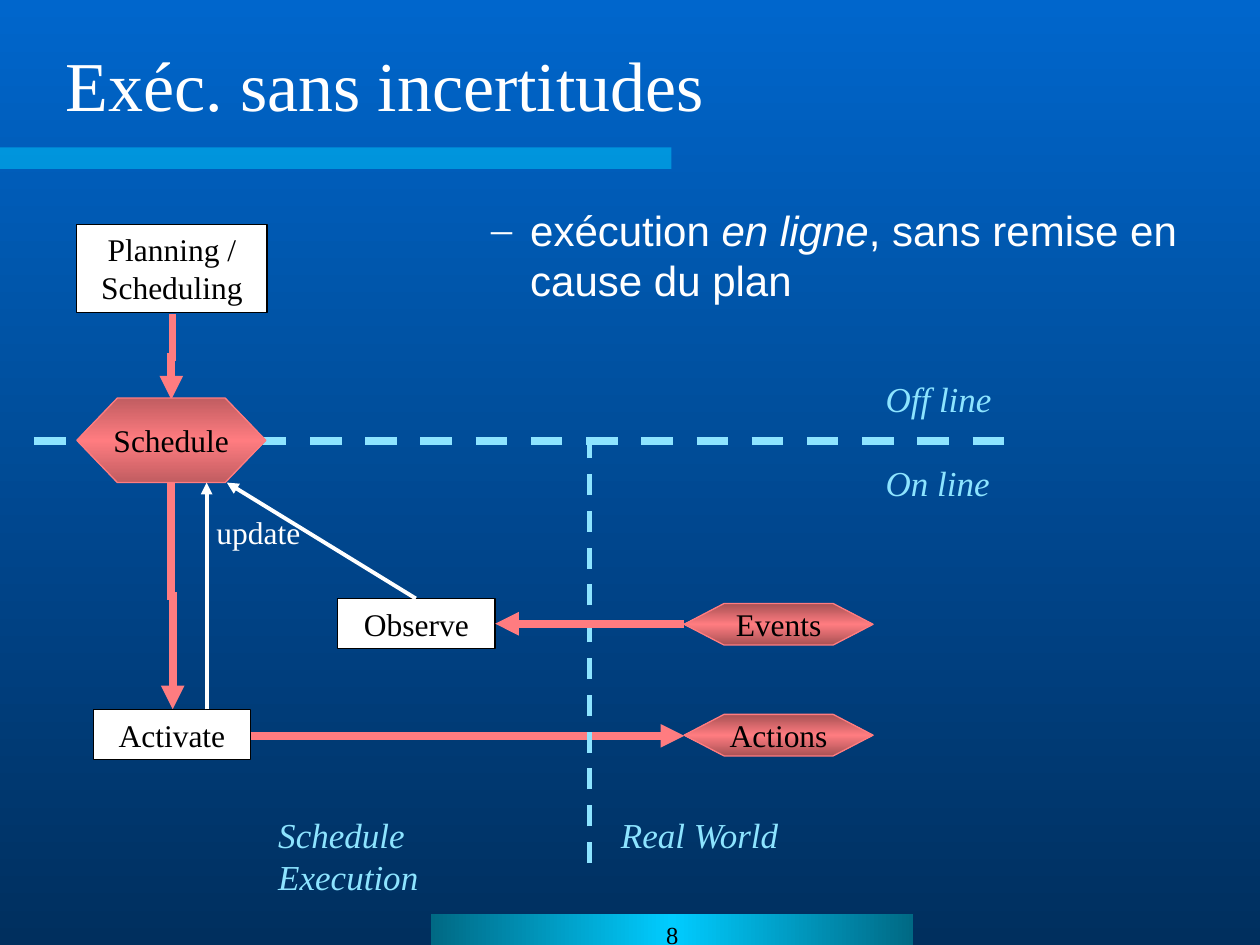
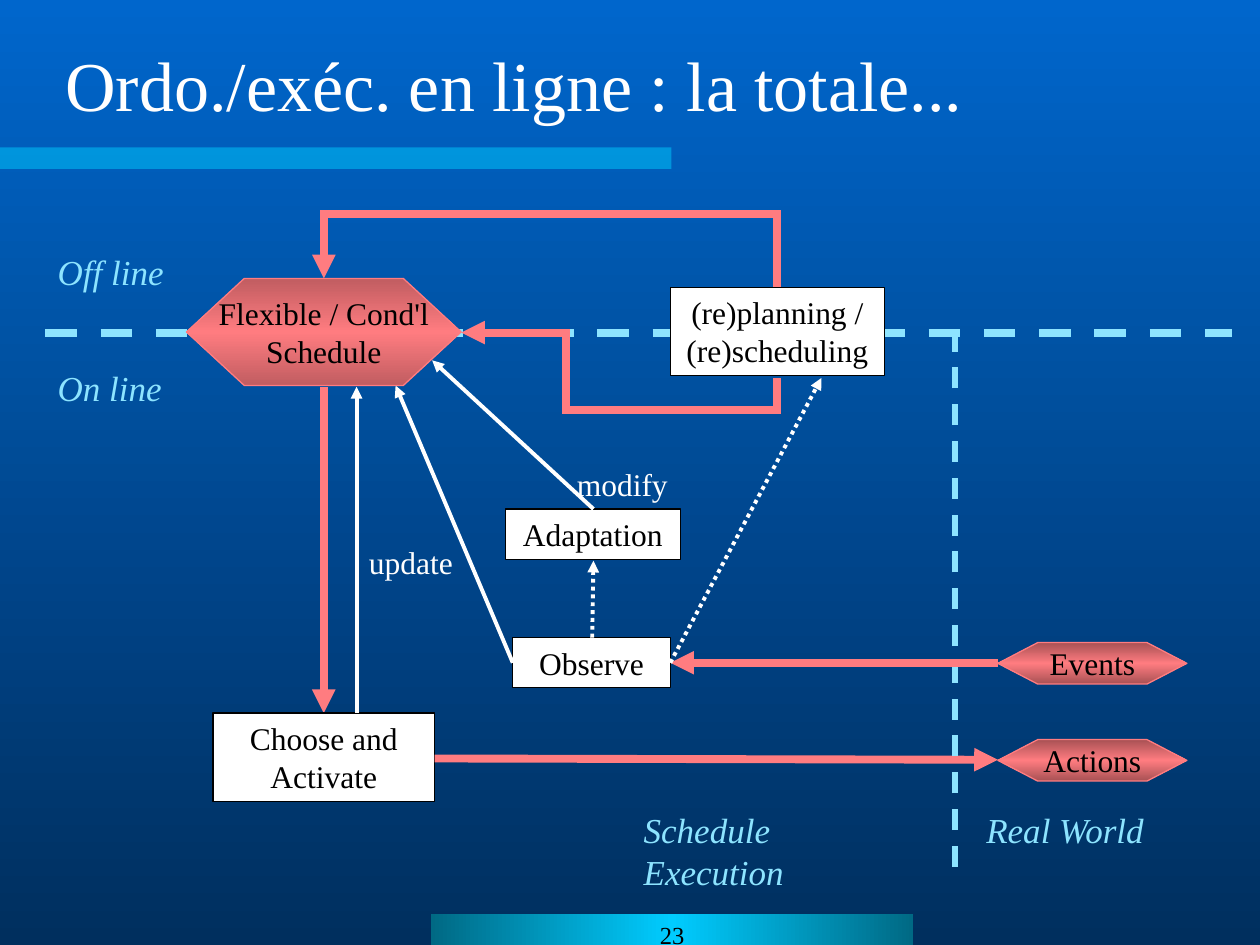
from copy import deepcopy
from dataclasses import dataclass

from lxml import etree
from pptx import Presentation
from pptx.dml.color import RGBColor
from pptx.enum import dml, shapes, text
from pptx.oxml import ns
from pptx.util import Inches, Pt


@dataclass(frozen=True)
class Theme:
    serif: str = "Times New Roman"
    sans: str = "Arial"
    white: str = "FFFFFF"
    black: str = "000000"
    zone: str = "8DE4FF"
    flow: str = "FF7C80"
    band: str = "00CCFF"
    background: tuple = ("0066CC", "002F5E")
    footer: tuple = ("006984", "00CCFF", "006984")
    schedule: tuple = ("C15D61", "FF7C80", "C15D61")
    world: tuple = ("A85154", "FF7C80", "A85154")
    title_size: int = 40
    body_size: int = 24
    zone_size: int = 20
    node_size: int = 18
    number_size: int = 14
    outline: float = 0.75
    thin: float = 2.25
    divider: float = 3
    thick: float = 4.5


THEME = Theme()
DASH = dml.MSO_LINE.DASH
DOTS = dml.MSO_LINE.ROUND_DOT


# Formatting helpers

def rgb(color):
    return RGBColor.from_string(color)


def add_xml(parent, tag, **attributes):
    return etree.SubElement(parent, ns.qn(tag), attributes)


def paint(fill, colors, angle=270):
    """Fill with one colour, or with a gradient of evenly spaced colours."""
    if isinstance(colors, str):
        fill.solid()
        fill.fore_color.rgb = rgb(colors)
        return
    fill.gradient()
    fill.gradient_angle = angle
    first = fill.gradient_stops[0]._gs
    for _ in colors[2:]:
        first.addnext(deepcopy(first))
    for i, (stop, color) in enumerate(zip(fill.gradient_stops, colors)):
        stop.position = i / (len(colors) - 1)
        stop.color.rgb = rgb(color)


def format_text(frame, size, color, font=THEME.serif, italic=None,
                align=text.PP_ALIGN.LEFT):
    for paragraph in frame.paragraphs:
        paragraph.alignment = align
        for run in paragraph.runs:
            run.font.size = Pt(size)
            run.font.name = font
            run.font.color.rgb = rgb(color)
            if italic is not None:
                run.font.italic = italic


def add_block(slide, kind, box, fill, outline=None):
    block = slide.shapes.add_shape(kind, *map(Inches, box))
    block.shadow.inherit = False
    paint(block.fill, fill)
    if outline:
        block.line.color.rgb = rgb(outline)
        block.line.width = Pt(THEME.outline)
    else:
        block.line.fill.background()
    return block


def style_line(line, color, width, dash=None, arrow=True):
    line.line.color.rgb = rgb(color)
    line.line.width = Pt(width)
    if dash:
        line.line.dash_style = dash
    stroke = line.line._get_or_add_ln()
    add_xml(stroke, "a:miter", lim="800000")
    if arrow:
        add_xml(stroke, "a:tailEnd", type="triangle")
    add_xml(line._element.spPr, "a:effectLst")


# Diagram parts, placed relative to the diagram's box

class Diagram:
    def __init__(self, slide, left, top):
        self.slide, self.left, self.top = slide, left, top

    def place(self, x, y):
        return self.left + x, self.top + y

    def label(self, x, y, width, words, color=THEME.white,
              size=THEME.node_size, height=0.4, italic=None):
        box = (*self.place(x, y), width, height)
        caption = self.slide.shapes.add_textbox(*map(Inches, box))
        caption.text_frame.word_wrap = False
        caption.text_frame.text = words
        format_text(caption.text_frame, size, color, italic=italic)

    def zone_label(self, x, y, width, words):
        self.label(x, y, width, words, THEME.zone, THEME.zone_size, 0.44, True)

    def step(self, x, y, words, width=1.25, height=0.4):
        box = (*self.place(x, y), width, height)
        step = add_block(self.slide, shapes.MSO_SHAPE.RECTANGLE, box,
                         THEME.white, THEME.black)
        frame = step.text_frame
        frame.word_wrap = True
        frame.vertical_anchor = text.MSO_ANCHOR.TOP
        frame.text = words
        format_text(frame, THEME.node_size, THEME.black,
                    align=text.PP_ALIGN.CENTER)

    def hexagon(self, x, y, words, width=1.5, height=0.33, point=0.96,
                fill=THEME.world):
        box = (*self.place(x, y), width, height)
        hexagon = add_block(self.slide, shapes.MSO_SHAPE.HEXAGON, box,
                            fill, THEME.flow)
        hexagon.adjustments[0] = point
        frame = hexagon.text_frame
        frame.word_wrap = False
        frame.vertical_anchor = text.MSO_ANCHOR.MIDDLE
        frame.text = words
        format_text(frame, THEME.node_size, THEME.black,
                    align=text.PP_ALIGN.CENTER)

    def line(self, start, end, color=THEME.white, width=THEME.thin,
             dash=None, arrow=True):
        ends = (*self.place(*start), *self.place(*end))
        line = self.slide.shapes.add_connector(
            shapes.MSO_CONNECTOR.STRAIGHT, *map(Inches, ends))
        style_line(line, color, width, dash, arrow)

    def flow(self, start, end):
        self.line(start, end, THEME.flow, THEME.thick)

    def elbow(self, start, end, *bends):
        """Bent flow arrow that leaves its start vertically."""
        (x1, y1), (x2, y2) = self.place(*start), self.place(*end)
        width, height = abs(y2 - y1), abs(x2 - x1)
        elbow = self.slide.shapes.add_connector(
            shapes.MSO_CONNECTOR.ELBOW, 0, 0, 0, 0)
        elbow.left = Inches((x1 + x2 - width) / 2)
        elbow.top = Inches((y1 + y2 - height) / 2)
        elbow.width, elbow.height = Inches(width), Inches(height)
        properties = elbow._element.spPr
        frame = properties.find(ns.qn("a:xfrm"))
        frame.set("rot", str(270 * 60000))
        frame.set("flipH", str(int(y2 > y1)))
        frame.set("flipV", str(int(x2 < x1)))
        geometry = properties.find(ns.qn("a:prstGeom"))
        geometry.set("prst", f"bentConnector{len(bends) + 2}")
        guides = geometry.find(ns.qn("a:avLst"))
        for i, bend in enumerate(bends, 1):
            add_xml(guides, "a:gd", name=f"adj{i}",
                    fmla=f"val {round(bend * 100000)}")
        style_line(elbow, THEME.flow, THEME.thick)

    def zones(self, axis, span, divider, bottom, label_y, line_x, line_ys):
        """Dashed axes that part off line from on line, plan from world."""
        self.zone_label(divider + 0.15, label_y, 1.47, "Real World")
        self.zone_label(divider - 2.57, label_y, 2.38, "Schedule Execution")
        self.line((divider, bottom), (divider, axis), THEME.zone,
                  THEME.divider, DASH, arrow=False)
        self.line((span[0], axis), (span[1], axis), THEME.zone,
                  THEME.thick, DASH, arrow=False)
        for y, words in zip(line_ys, ("Off line", "On line")):
            self.zone_label(line_x, y, 1.04, words)


# Parts every slide shares

def add_base_slide(prs, title, number):
    slide = prs.slides.add_slide(prs.slide_layouts[5])
    title_band = add_block(slide, shapes.MSO_SHAPE.RECTANGLE,
                           (0, 1.17, 5.33, 0.17), THEME.band)
    tint = title_band._element.spPr.find(".//" + ns.qn("a:srgbClr"))
    add_xml(tint, "a:alpha", val="50000")

    footer = add_block(slide, shapes.MSO_SHAPE.RECTANGLE,
                       (3.42, 7.25, 3.83, 0.25), THEME.footer)
    footer.fill.gradient_angle = 180
    footer.text_frame.vertical_anchor = text.MSO_ANCHOR.TOP
    footer.text_frame.text = number
    format_text(footer.text_frame, THEME.number_size, THEME.black,
                align=text.PP_ALIGN.CENTER)

    heading = slide.shapes.title
    heading.left, heading.top = Inches(0.42), Inches(0.25)
    heading.width, heading.height = Inches(9.25), Inches(0.83)
    frame = heading.text_frame
    frame.text = title
    frame.auto_size = text.MSO_AUTO_SIZE.NONE
    frame.vertical_anchor = text.MSO_ANCHOR.MIDDLE
    format_text(frame, THEME.title_size, THEME.white)
    return slide


def add_remark(slide, box, pieces):
    """Dashed remark; every second piece is in italics."""
    remark = slide.shapes.add_textbox(*map(Inches, box))
    frame = remark.text_frame
    frame.word_wrap = True
    paragraph = frame.paragraphs[0]
    properties = paragraph._p.get_or_add_pPr()
    properties.set("marL", str(Inches(0.81)))
    properties.set("indent", str(Inches(-0.31)))
    bullet_color = add_xml(properties, "a:buClr")
    add_xml(bullet_color, "a:srgbClr", val=THEME.white)
    add_xml(properties, "a:buFont", typeface=THEME.serif)
    add_xml(properties, "a:buChar", char="–")
    for i, piece in enumerate(pieces):
        run = paragraph.add_run()
        run.text = piece
        run.font.italic = i % 2 == 1
    format_text(frame, THEME.body_size, THEME.white, THEME.sans)


# Diagrams

def draw_fixed_plan(slide, left, top):
    plan = Diagram(slide, left, top)
    # Execution and zones
    plan.elbow((1.36, 2.33), (1.37, 4.13), 0.5)
    plan.step(0.74, 4.13, "Activate")
    plan.flow((1.99, 4.34), (5.43, 4.34))
    plan.zones(axis=2, span=(0.27, 8.1), divider=4.68, bottom=5.35,
               label_y=4.91, line_x=6.93, line_ys=(1.45, 2.11))
    plan.hexagon(5.43, 4.17, "Actions")
    # Planning
    plan.elbow((1.37, 0.99), (1.36, 1.67), 0.5)
    plan.hexagon(0.61, 1.66, "Schedule", 1.5, 0.67, 0.48, THEME.schedule)
    plan.step(0.61, 0.28, "Planning / Scheduling", 1.51, 0.7)
    # Feedback
    plan.line((1.64, 4.13), (1.64, 2.33))
    plan.label(1.62, 2.52, 0.87, "update")
    plan.step(2.68, 3.25, "Observe")
    plan.flow((5.43, 3.45), (3.93, 3.45))
    plan.line((3.3, 3.25), (1.8, 2.33))
    plan.hexagon(5.43, 3.29, "Events")


def draw_flexible_plan(slide, left, top):
    plan = Diagram(slide, left, top)
    # Execution and zones
    plan.flow((2.57, 1.57), (2.57, 4.16))
    plan.label(2.83, 2.76, 0.87, "update")
    plan.step(1.69, 4.16, "Choose and Activate", 1.76, 0.7)
    plan.flow((3.45, 4.52), (7.92, 4.53))
    plan.zones(axis=1.14, span=(0.36, 9.78), divider=7.58, bottom=5.38,
               label_y=4.87, line_x=0.36, line_ys=(0.44, 1.36))
    plan.hexagon(7.92, 4.37, "Actions")
    # Observation
    plan.step(4.07, 3.56, "Observe")
    plan.flow((7.92, 3.76), (5.32, 3.76))
    plan.line((4.07, 3.76), (3.14, 1.56))
    plan.hexagon(7.92, 3.6, "Events")
    # Schedule and its revisions
    plan.hexagon(1.48, 0.71, "Flexible / Cond'l\nSchedule", 2.18, 0.85,
                 0.54, THEME.schedule)
    plan.elbow((6.17, 0.78), (2.57, 0.71), 8.32)
    plan.step(4.01, 2.54, "Adaptation", 1.39)
    plan.line((4.7, 3.56), (4.71, 2.95), dash=DOTS)
    plan.line((4.71, 2.54), (3.43, 1.36))
    plan.label(4.48, 2.14, 0.92, "modify")
    plan.line((5.32, 3.76), (6.52, 1.5), dash=DOTS)
    plan.elbow((6.17, 1.5), (3.66, 1.14), -0.7, 0.67)
    plan.step(5.32, 0.78, "(re)planning / (re)scheduling", 1.7, 0.7)
    plan.line((2.83, 4.16), (2.83, 1.57))


def main():
    prs = Presentation()
    prs.slide_width, prs.slide_height = Inches(10), Inches(7.5)
    paint(prs.slide_master.background.fill, THEME.background)

    fixed = add_base_slide(prs, "Exéc. sans incertitudes", "8")
    add_remark(fixed, (3.3, 1.57, 6.7, 0.92),
               ("exécution ", "en ligne", ", sans remise en cause du plan"))
    draw_fixed_plan(fixed, 0, 1.5)

    flexible = add_base_slide(prs, "Ordo./exéc. en ligne : la totale...", "23")
    draw_flexible_plan(flexible, 0, 1.5)

    prs.save("out.pptx")


if __name__ == "__main__":
    main()
